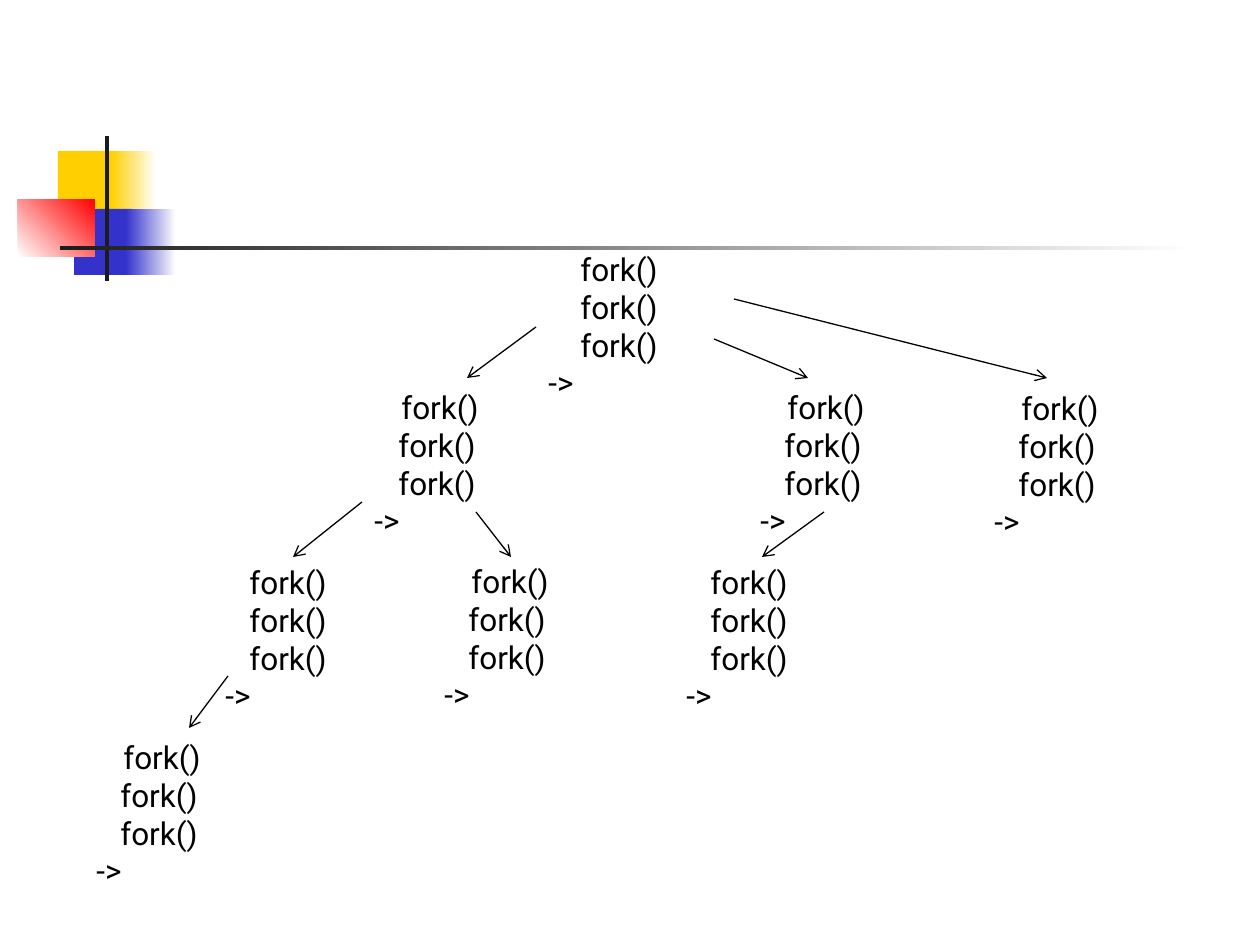
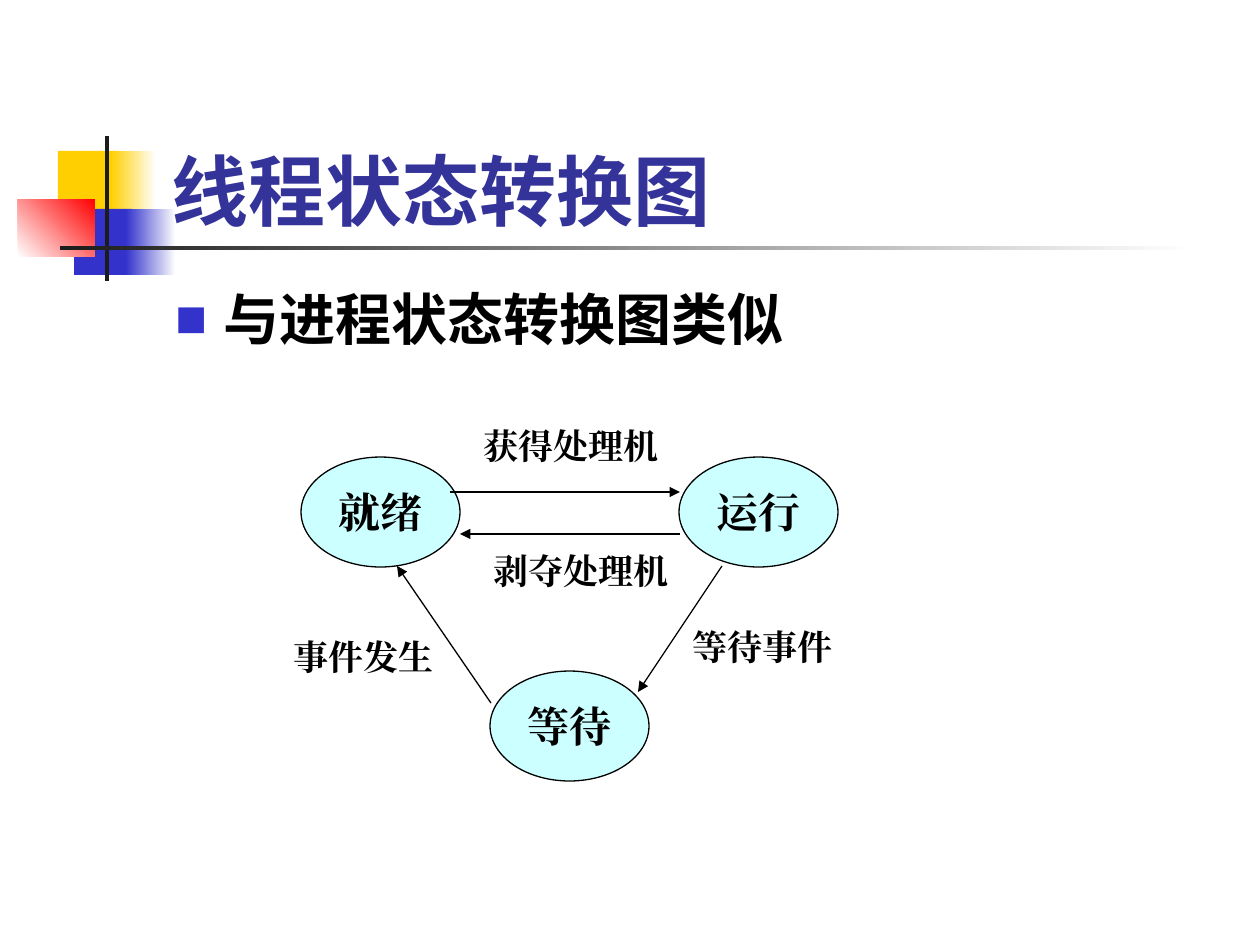
from pptx import Presentation, util as u
from pptx.dml.color import RGBColor
from pptx.enum import shapes, text
from pptx.enum.lang import MSO_LANGUAGE_ID
from pptx.oxml.ns import qn
from lxml import etree

PX_PER_INCH = 126
SLIDE_SIZE = (1260, 945)

BLACK = RGBColor(0x00, 0x00, 0x00)
WHITE = RGBColor(0xFF, 0xFF, 0xFF)
YELLOW = RGBColor(0xFF, 0xCF, 0x01)
BLUE = RGBColor(0x33, 0x33, 0xCC)
RED = RGBColor(0xFF, 0x00, 0x00)
CHARCOAL = RGBColor(0x1C, 0x1C, 0x1C)
TITLE_BLUE = RGBColor(0x33, 0x33, 0x99)
PALE_CYAN = RGBColor(0xCC, 0xFF, 0xFF)
SANS, SERIF = "Roboto", "Times New Roman"

# left, top, width, height, colours (two make a gradient), gradient angle
BAND = [
    (58, 151, 60, 66, [YELLOW], 0),
    (111, 151, 45, 66, [YELLOW, WHITE], 0),
    (74, 209, 58, 66, [BLUE], 0),
    (126, 209, 50, 66, [BLUE, WHITE], 0),
    (18, 199, 77, 58, [WHITE, RED], 45),
    (105, 136, 4, 145, [CHARCOAL], 0),
    (60, 246, 1134, 4, [CHARCOAL, WHITE], 0),
]

FORK_LINES = ["fork()", "fork()", "fork()", "->"]
# left, top, indent of first call, indent of later calls, extra space on top
PROCESSES = [
    (536, 244, 32, 32, 0),
    (362, 378, 27, 24, 4),
    (748, 378, 27, 24, 4),
    (982, 379, 27, 24, 4),
    (213, 557, 24, 24, 0),
    (432, 552, 27, 24, 4),
    (674, 557, 24, 24, 0),
    (84, 728, 27, 24, 4),
]
FORK_ARROWS = [
    (536, 327, 467, 378), (714, 339, 808, 378), (734, 299, 1047, 378),
    (362, 502, 293, 557), (476, 512, 511, 557), (824, 512, 762, 557),
    (228, 676, 189, 728),
]

TITLE = "线程状态转换图"
BULLET = "与进程状态转换图类似"
# state: column, row
STATES = {"就绪": (0, 0), "等待": (1, 1), "运行": (2, 0)}
STATE_ORIGIN, STATE_STEP, STATE_SIZE = (301, 457), (189, 214), (159, 110)
# label, its left, top and width, then the arrow
TRANSITIONS = [
    ("获得处理机", (471, 418, 210), (450, 492, 680, 492)),
    ("等待事件", (680, 619, 168), (722, 566, 638, 692)),
    ("事件发生", (281, 629, 168), (491, 703, 397, 566)),
    ("剥夺处理机", (481, 543, 210), (680, 534, 460, 534)),
]


def px(length):
    return u.Emu(round(length * 914400 / PX_PER_INCH))


def style(paragraph, size, font, color=BLACK, bold=False):
    for run in paragraph.runs:
        run.font.size, run.font.name, run.font.bold = u.Pt(size), font, bold
        run.font.color.rgb = color
        if not run.text.isascii():
            run.font.language_id = MSO_LANGUAGE_ID.SIMPLIFIED_CHINESE
            latin = run.font._element.find(qn("a:latin"))
            east_asian = etree.Element(qn("a:ea"), typeface=font)
            latin.addnext(east_asian)


def indent(paragraph, left, first=0):
    props = paragraph._p.get_or_add_pPr()
    props.set("marL", str(px(left)))
    props.set("indent", str(px(first)))
    return props


def add_text(slide, box, lines, size, font, color=BLACK, bold=False):
    frame = slide.shapes.add_textbox(*map(px, box)).text_frame
    frame.word_wrap = True
    frame.text = "\n".join(lines)
    for paragraph in frame.paragraphs:
        style(paragraph, size, font, color, bold)
    return frame


def add_arrow(slide, ends, head):
    arrow = slide.shapes.add_connector(
        shapes.MSO_CONNECTOR.STRAIGHT, *map(px, ends))
    arrow.line.color.rgb = BLACK
    arrow.line.width = u.Pt(0.75)
    etree.SubElement(arrow.line._get_or_add_ln(), qn("a:tailEnd"), type=head)
    etree.SubElement(arrow._element.spPr, qn("a:effectLst"))


def add_filled(slide, kind, box, color):
    shape = slide.shapes.add_shape(kind, *map(px, box))
    shape.shadow.inherit = False
    shape.fill.solid()
    shape.fill.fore_color.rgb = color
    shape.line.fill.background()
    return shape


def new_slide(deck):
    """Blank slide with the coloured squares and the fading rule."""
    slide = deck.slides.add_slide(deck.slide_layouts[6])
    for *box, colors, angle in BAND:
        block = add_filled(
            slide, shapes.MSO_SHAPE.RECTANGLE, box, colors[0])
        if len(colors) > 1:
            block.fill.gradient()
            block.fill.gradient_angle = angle
            for stop, color in zip(block.fill.gradient_stops, colors):
                stop.color.rgb = color
    return slide


def fork_tree(deck):
    slide = new_slide(deck)
    for left, top, first, later, extra in PROCESSES:
        frame = add_text(slide, (left, top, 208, 164 + extra),
                         FORK_LINES, 18, SANS)
        frame.margin_top = px(6 + extra)
        for paragraph, offset in zip(frame.paragraphs, (first, later, later)):
            indent(paragraph, offset)
    for ends in FORK_ARROWS:
        add_arrow(slide, ends, "arrow")


def add_bullet(paragraph):
    props = indent(paragraph, 48, -48)
    color = etree.SubElement(props, qn("a:buClr"))
    etree.SubElement(color, qn("a:srgbClr"), val=str(BLUE))
    etree.SubElement(props, qn("a:buSzPct"), val="60000")
    etree.SubElement(props, qn("a:buFont"), typeface=SANS)
    etree.SubElement(props, qn("a:buChar"), char="■")


def thread_states(deck):
    slide = new_slide(deck)
    title = add_text(slide, (159, 84, 1074, 158), [TITLE],
                     44, SANS, TITLE_BLUE, True)
    title.vertical_anchor = text.MSO_ANCHOR.BOTTOM
    body = add_text(slide, (163, 278, 1071, 115), [BULLET],
                    32, SANS, bold=True)
    add_bullet(body.paragraphs[0])

    for state, cell in STATES.items():
        corner = [start + step * index for start, step, index
                  in zip(STATE_ORIGIN, STATE_STEP, cell)]
        oval = add_filled(slide, shapes.MSO_SHAPE.OVAL,
                          (*corner, *STATE_SIZE), PALE_CYAN)
        oval.line.color.rgb = BLACK
        oval.line.width = u.Pt(0.75)
        frame = oval.text_frame
        frame.text = state
        frame.word_wrap = False
        frame.vertical_anchor = text.MSO_ANCHOR.MIDDLE
        frame.paragraphs[0].alignment = text.PP_ALIGN.CENTER
        style(frame.paragraphs[0], 24, SERIF, bold=True)
    for label, place, ends in TRANSITIONS:
        add_arrow(slide, ends, "triangle")
        add_text(slide, (*place, 55), [label], 20, SERIF, bold=True)


def main():
    deck = Presentation()
    deck.slide_width, deck.slide_height = map(px, SLIDE_SIZE)
    fork_tree(deck)
    thread_states(deck)
    deck.save("out.pptx")


if __name__ == "__main__":
    main()
